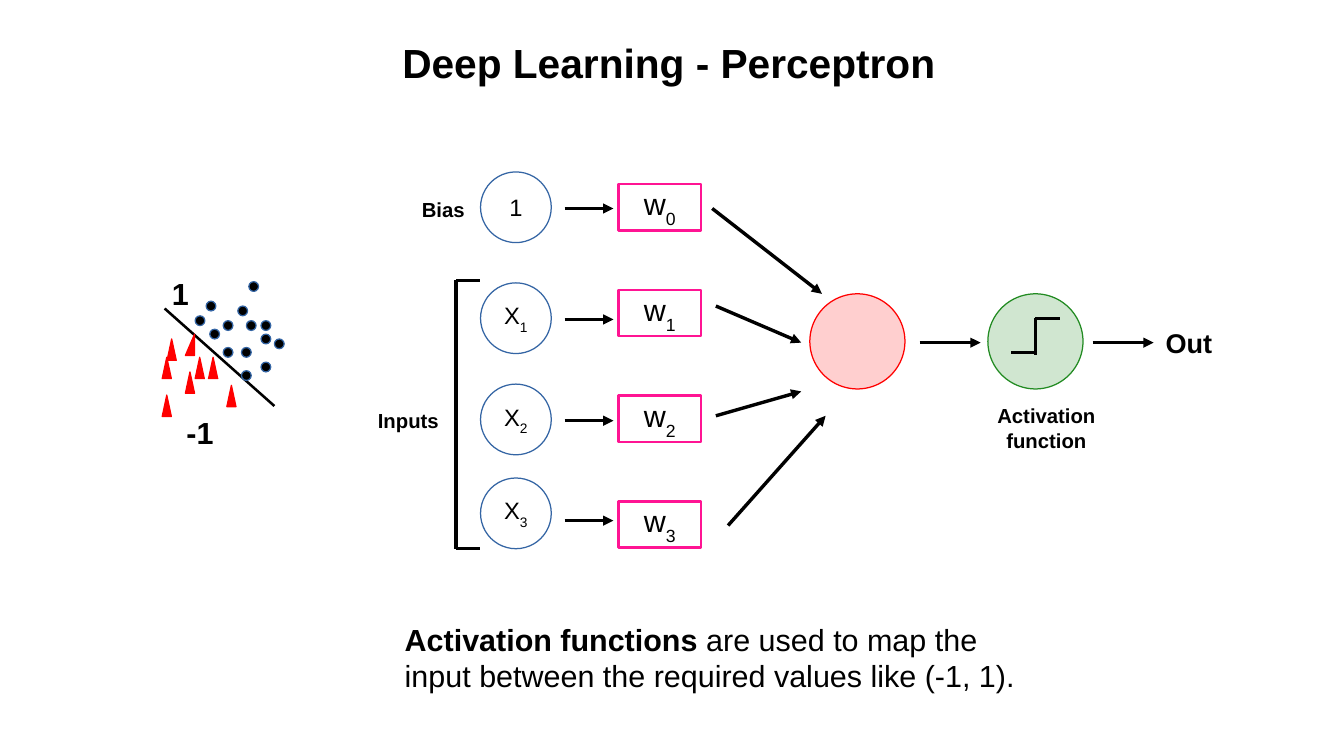
from lxml.etree import SubElement
from pptx import Presentation
from pptx.dml.color import RGBColor
from pptx.enum.shapes import MSO_CONNECTOR, MSO_SHAPE
from pptx.enum.text import MSO_ANCHOR, PP_ALIGN
from pptx.oxml.ns import qn
from pptx.util import Inches, Pt

COLUMNS, ROWS = 110.2, 62
CELL = Inches(0.1)
BLACK, BLUE, PINK, RED, GREEN = "000000", "3465A4", "FF1493", "FF0000", "228B22"


def cells(*values):
    return [round(v * CELL) for v in values]


def paint(fmt, color, alpha=None):
    fmt.solid()
    fmt.fore_color.rgb = RGBColor.from_string(color)
    if alpha is not None:
        clr = fmt._xPr.find(qn("a:solidFill"))[0]
        SubElement(clr, qn("a:alpha")).set("val", str(alpha * 1000))


def write(tf, text, size=12, bold=False, sub="", rest="", align=PP_ALIGN.LEFT):
    p = tf.paragraphs[0]
    p.alignment = align
    for part, weight, low in ((text, bold, False), (sub, bold, True), (rest, False, False)):
        if part:
            r = p.add_run()
            r.text = part
            r.font.name, r.font.size, r.font.bold = "Arial", Pt(size), weight
            paint(r.font.fill, BLACK)
            if low:
                r.font._element.set("baseline", "-33000")


def label(s, x, y, w, h, text, **fmt):
    tf = s.shapes.add_textbox(*cells(x, y, w, h)).text_frame
    tf.word_wrap = True
    write(tf, text, **fmt)


def style(sp, line, fill=None, alpha=None, width=0):
    sp.shadow.inherit = False
    if fill:
        paint(sp.fill, fill, alpha)
    else:
        sp.fill.background()
    paint(sp.line.fill, line)
    sp.line.width = Pt(width)


def node(s, kind, x, y, w, h, line, text="", sub="", size=14, **look):
    sp = s.shapes.add_shape(kind, *cells(x, y, w, h))
    style(sp, line, **look)
    if text:
        tf = sp.text_frame
        tf.word_wrap = False
        tf.vertical_anchor = MSO_ANCHOR.MIDDLE
        write(tf, text, size=size, sub=sub, align=PP_ALIGN.CENTER)


def line(s, x1, y1, x2, y2, width=0, arrow=False):
    c = s.shapes.add_connector(MSO_CONNECTOR.STRAIGHT, *cells(x1, y1, x2, y2))
    paint(c.line.fill, BLACK)
    c.line.width = Pt(width)
    if arrow:
        SubElement(c.line._get_or_add_ln(), qn("a:tailEnd")).set("type", "triangle")
    SubElement(c._element.spPr, qn("a:effectLst"))


def triangle(s, x, y, w, h, apex=0.5):
    start, *others = [cells(*pt) for pt in ((x + w * apex, y), (x + w, y + h), (x, y + h))]
    fb = s.shapes.build_freeform(*start)
    fb.add_line_segments(others, close=True)
    style(fb.convert_to_shape(), RED, fill=RED)


def classes(s, x, y):
    line(s, x + 0.5, y + 3.3, x + 9.5, y + 11.3, width=1.5)
    dots = [(5.3, 4.3), (6.5, 3.1), (3, 3.9), (7.4, 1.1), (4.2, 5), (7.2, 4.3), (6.8, 6.5),
            (9.5, 5.8), (5.3, 6.5), (8.4, 7.7), (8.4, 4.3), (3.9, 2.7), (8.4, 5.4), (6.8, 8.4)]
    for dx, dy in dots:
        node(s, MSO_SHAPE.OVAL, x + dx, y + dy, 0.8, 0.8, BLUE, fill=BLACK)
    for dx, dy in [(3, 7.3), (0.7, 5.8), (4.1, 7.3), (2.2, 8.5), (0.3, 7.3), (5.6, 9.6), (0.3, 10.4)]:
        triangle(s, x + dx, y + dy, 0.75, 1.75)
    triangle(s, x + 2.2, y + 5.4, 0.75, 1.75, apex=1)
    label(s, x + 1.3, y + 11.5, 7.8, 3.8, "-1", size=18, bold=True)
    label(s, x + 0.1, y + 0.1, 7.8, 3.8, "1", size=18, bold=True)


def inputs(s, x, y):
    label(s, x + 3.6, y + 1.7, 7.8, 2.8, "Bias", bold=True)
    label(s, x, y + 19, 7.8, 2.8, "Inputs", bold=True)
    left, right, top, bottom = x + 7.4, x + 9.4, y + 9, y + 31
    line(s, left, top, left, bottom)
    for edge in (top, bottom):
        line(s, left, edge, right, edge)
    rows = [("1", "", 0.1, 3.1), ("X", "1", 9.2, 12.2), ("X", "2", 17.5, 20.5), ("X", "3", 25.2, 28.7)]
    for i, (text, sub, circle, arrow) in enumerate(rows):
        node(s, MSO_SHAPE.OVAL, right, y + circle, 5.8, 5.8, BLUE, text, sub)
        line(s, x + 16.3, y + arrow, x + 20.3, y + arrow, arrow=True)
        node(s, MSO_SHAPE.RECTANGLE, x + 20.7, y + 1.1 + i * 8.67, 6.8, 3.8, PINK, "w", str(i),
             size=18, width=1.5)
    for x1, y1, x2, y2 in [(28.4, 3.1, 37.4, 10.1), (28.7, 11.1, 35.7, 14.1),
                           (28.7, 20.1, 35.7, 18.1), (29.7, 29.1, 37.7, 20.1)]:
        line(s, x + x1, y + y1, x + x2, y + y2, arrow=True)


def output(s, x, y):
    node(s, MSO_SHAPE.OVAL, x + 0.4, y + 0.1, 7.8, 7.8, RED, fill=RED, alpha=19)
    node(s, MSO_SHAPE.OVAL, x + 15, y + 0.1, 7.8, 7.8, GREEN, fill=GREEN, alpha=21)
    mid = x + 18.9
    line(s, mid, y + 2.1, mid, y + 5.1)
    line(s, mid, y + 2.1, mid + 2, y + 2.1)
    line(s, mid - 2, y + 4.9, mid, y + 4.9)
    for dx in (9.4, 23.6):
        line(s, x + dx, y + 4.1, x + dx + 5, y + 4.1, arrow=True)
    label(s, x + 28.6, y + 2.3, 10.8, 3.5, "Out", size=16, bold=True)
    label(s, x + 14.4, y + 8.6, 10.8, 4.8, "Activation function", bold=True, align=PP_ALIGN.CENTER)


def main():
    prs = Presentation()
    prs.slide_width, prs.slide_height = cells(COLUMNS, ROWS)
    s = prs.slides.add_slide(prs.slide_layouts[6])
    label(s, 32, 2.6, 45.8, 4.7, "Deep Learning - Perceptron", size=24, bold=True)
    classes(s, 13, 22)
    inputs(s, 30, 14)
    output(s, 66, 24)
    label(s, 32.2, 50.4, 53.8, 6.8, "Activation functions", size=18, bold=True,
          rest=" are used to map the input between the required values like (-1, 1).")
    prs.save("out.pptx")


if __name__ == "__main__":
    main()
